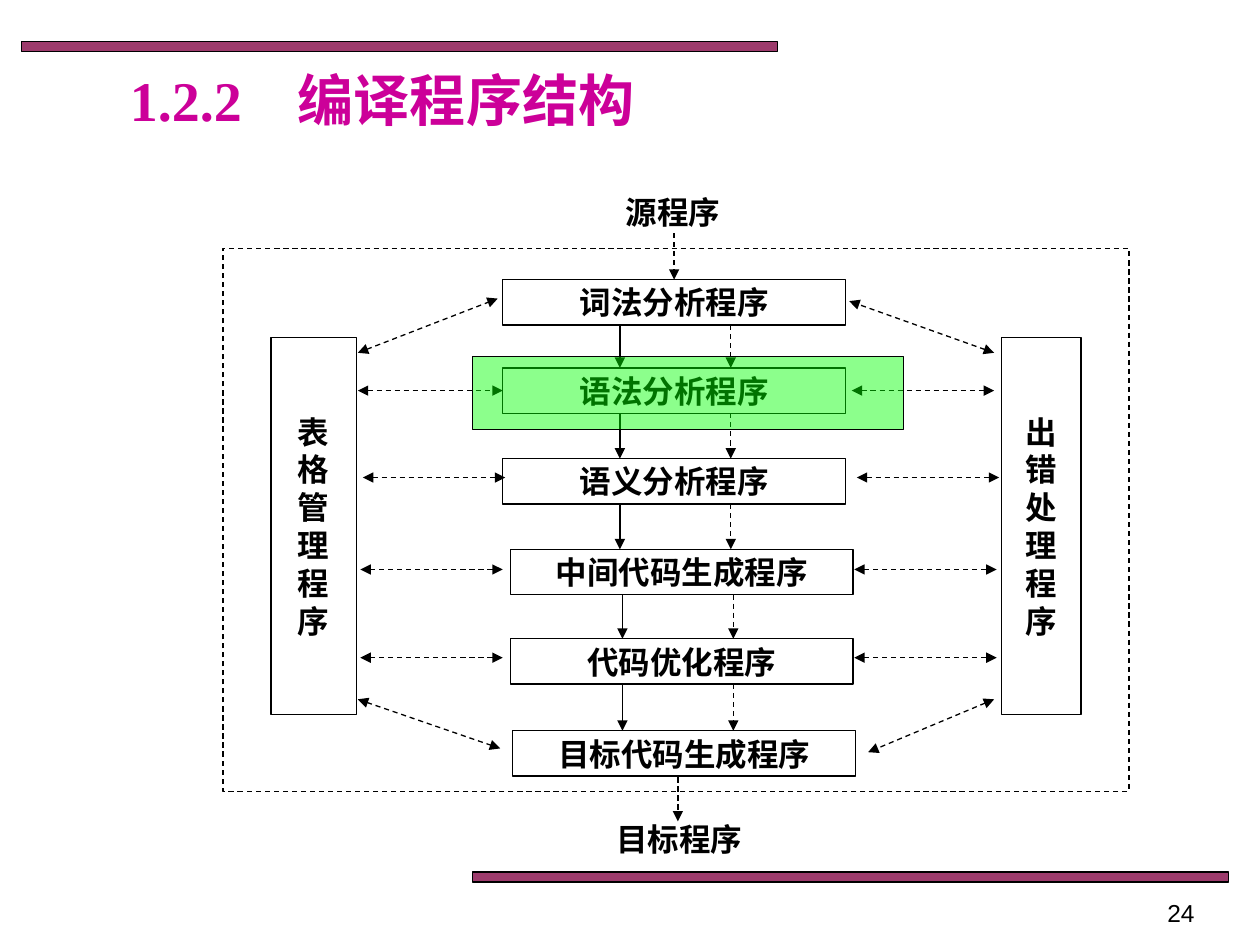
"""Build the slide on the structure of a compiler."""
from lxml import etree
from pptx import Presentation
from pptx.dml.color import RGBColor
from pptx.enum.dml import MSO_LINE
from pptx.enum.shapes import MSO_CONNECTOR, MSO_SHAPE
from pptx.enum.text import MSO_ANCHOR, PP_ALIGN
from pptx.oxml.ns import qn
from pptx.util import Inches, Pt

RECTANGLE = MSO_SHAPE.RECTANGLE
STRAIGHT = MSO_CONNECTOR.STRAIGHT
DASH = MSO_LINE.DASH
MIDDLE = MSO_ANCHOR.MIDDLE
LEFT, CENTER, RIGHT = PP_ALIGN.LEFT, PP_ALIGN.CENTER, PP_ALIGN.RIGHT
COLORS = {"ink": "000000", "paper": "FFFFFF", "title": "CC0099",
          "bar": "993366", "highlight": "00FF00"}
SERIF, SANS = "Times New Roman", "Arial"

deck = Presentation()
deck.slide_width, deck.slide_height = Inches(10), Inches(7.5)
CELL = deck.slide_width / 100
page = deck.slides.add_slide(deck.slide_layouts[5])


def write(shape, words, size=18, font=SERIF, color="ink", bold=True, align=CENTER):
    frame = shape.text_frame
    frame.word_wrap = True
    para = frame.paragraphs[0]
    para.alignment = align
    span = para.add_run()
    span.text = words
    span.font.name, span.font.size, span.font.bold = font, Pt(size), bold
    span.font.color.rgb = RGBColor.from_string(COLORS[color])
    return frame


def add_arrow(x1, y1, x2, y2, dashed=True, double=False):
    ends = [round(n * CELL) for n in (x1, y1, x2, y2)]
    arrow = page.shapes.add_connector(STRAIGHT, *ends)
    arrow.line.color.rgb = RGBColor.from_string(COLORS["ink"])
    arrow.line.width = Pt(0.75)
    if dashed:
        arrow.line.dash_style = DASH
    outline = arrow.line._get_or_add_ln()
    for tag in ["a:headEnd", "a:tailEnd"] if double else ["a:tailEnd"]:
        etree.SubElement(outline, qn(tag)).set("type", "triangle")
    etree.SubElement(arrow._element.spPr, qn("a:effectLst"))
    return arrow


title = page.shapes.title
title.left, title.top, title.width, title.height = [
    round(n * CELL) for n in (9.3, 5.8, 47.4, 4.2)]
write(title, "1.2.2\u3000编译程序结构".replace("\u3000", "　"), 32, color="title",
      align=LEFT).vertical_anchor = MIDDLE

number = page.shapes.add_textbox(*[round(n * CELL) for n in (72.5, 70.8, 23.3, 2.7)])
write(number, "24", 14, SANS, bold=False, align=RIGHT)

for left, top, words in [(39.8, 15, "源程序"), (40.3, 64.8, "目标程序")]:
    label = page.shapes.add_textbox(*[round(n * CELL) for n in (left, top, 27.2, 3.6)])
    frame = write(label, words)
    frame.vertical_anchor = MIDDLE
    frame.margin_top = frame.margin_bottom = 0

stages = [(39.9, 22.2, "词法分析程序"), (39.9, 29.2, "语法分析程序"),
          (39.9, 36.4, "语义分析程序"), (40.5, 43.6, "中间代码生成程序"),
          (40.5, 50.7, "代码优化程序"), (40.7, 58, "目标代码生成程序")]
areas = [(left, top, 27.2, 3.6, words, "paper", 100) for left, top, words in stages]
areas += [(21.5, 26.8, 6.8, 29.9, "表格管理程序", "paper", 100),
          (79.5, 26.8, 6.3, 29.9, "出错处理程序", "paper", 100),
          (17.7, 19.7, 71.9, 43.1, "", None, 100),
          (1.7, 3.3, 60, 0.8, "", "bar", 96),
          (37.5, 69.2, 60, 0.8, "", "bar", 96)]
highlight = (37.5, 28.3, 34.2, 5.8, "", "highlight", 45)

boxes = []
for left, top, width, height, words, fill, opacity in areas + [highlight]:
    box = page.shapes.add_shape(
        RECTANGLE, *[round(n * CELL) for n in (left, top, width, height)])
    box.shadow.inherit = False
    box.line.color.rgb = RGBColor.from_string(COLORS["ink"])
    box.line.width = Pt(0.75)
    if fill:
        box.fill.solid()
        box.fill.fore_color.rgb = RGBColor.from_string(COLORS[fill])
    else:
        box.fill.background()
        box.line.dash_style = DASH
    if opacity < 100:
        tint = box._element.spPr.find(qn("a:solidFill"))[0]
        etree.SubElement(tint, qn("a:alpha")).set("val", str(opacity * 1000))
    if words:
        frame = write(box, words)
        frame.vertical_anchor = MIDDLE
        frame.margin_top = frame.margin_bottom = 0
        if height > width:
            frame.paragraphs[0].line_spacing = Pt(21.6)
    boxes.append(box)

add_arrow(53.5, 18.5, 53.5, 22.2).end_connect(boxes[0], 0)
add_arrow(53.8, 61.7, 53.8, 65.2)

for index, (upper, lower) in enumerate(zip(stages, stages[1:])):
    shift = 0 if index < 3 else 0.2
    for column, dashed in [(49.2, False), (58, True)]:
        add_arrow(column + shift, upper[1] + 3.6, column + shift, lower[1], dashed)

for left, row in [(28.4, 31), (28.8, 37.9), (28.6, 45.2), (28.6, 52.2)]:
    for start in (left, left + 39.2):
        arrow = add_arrow(start, row, start + 11.3, row, double=True)
        if (start, row) == (28.4, 31):
            arrow.end_connect(boxes[1], 1)

for ends in [(28.4, 28, 39.5, 23.7), (28.4, 55.5, 39.7, 59.4),
             (78.9, 28, 67.4, 23.9), (78.9, 55.5, 68.9, 59.7)]:
    add_arrow(*ends, double=True)

page.shapes._spTree.append(boxes[-1]._element)
deck.save("out.pptx")
